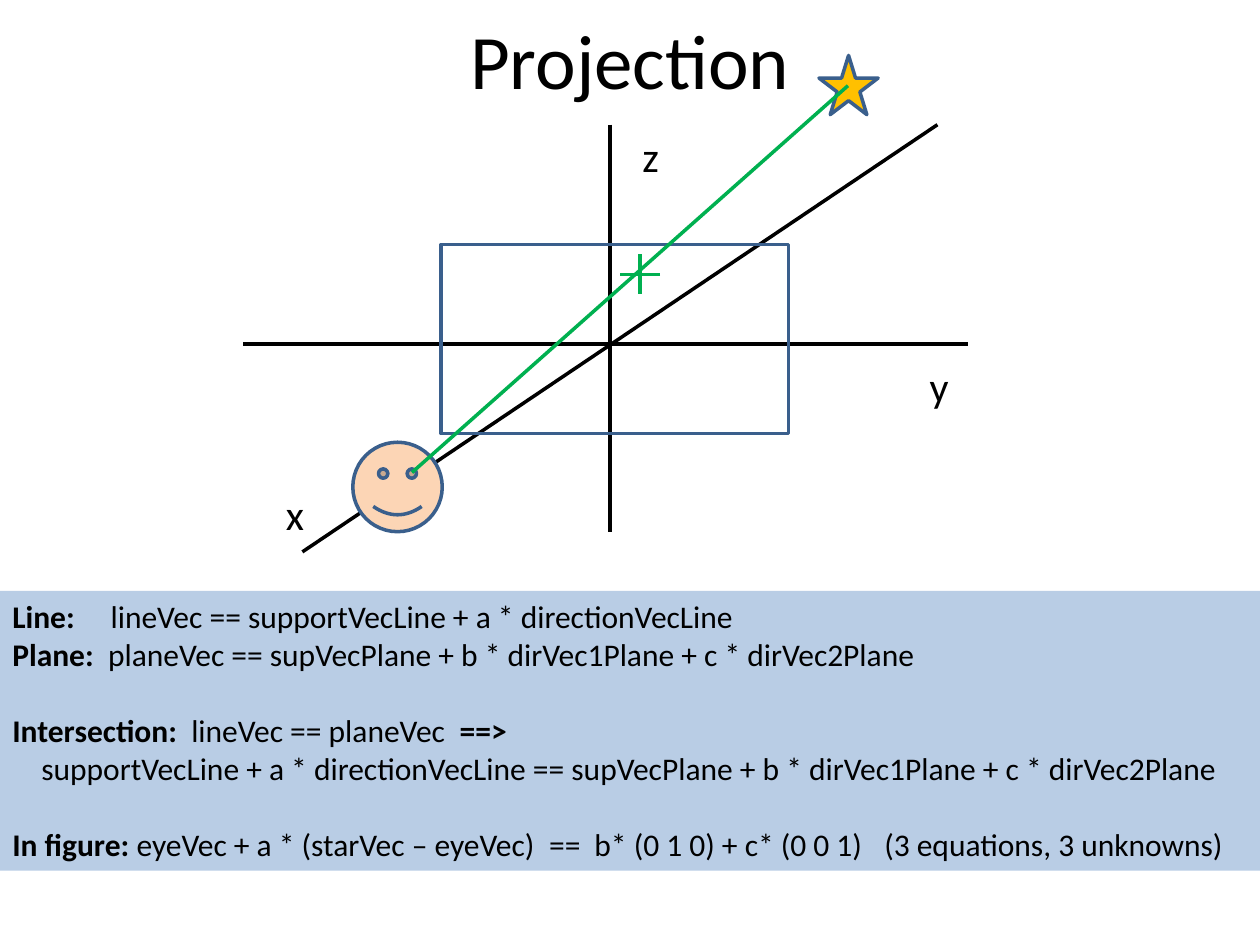
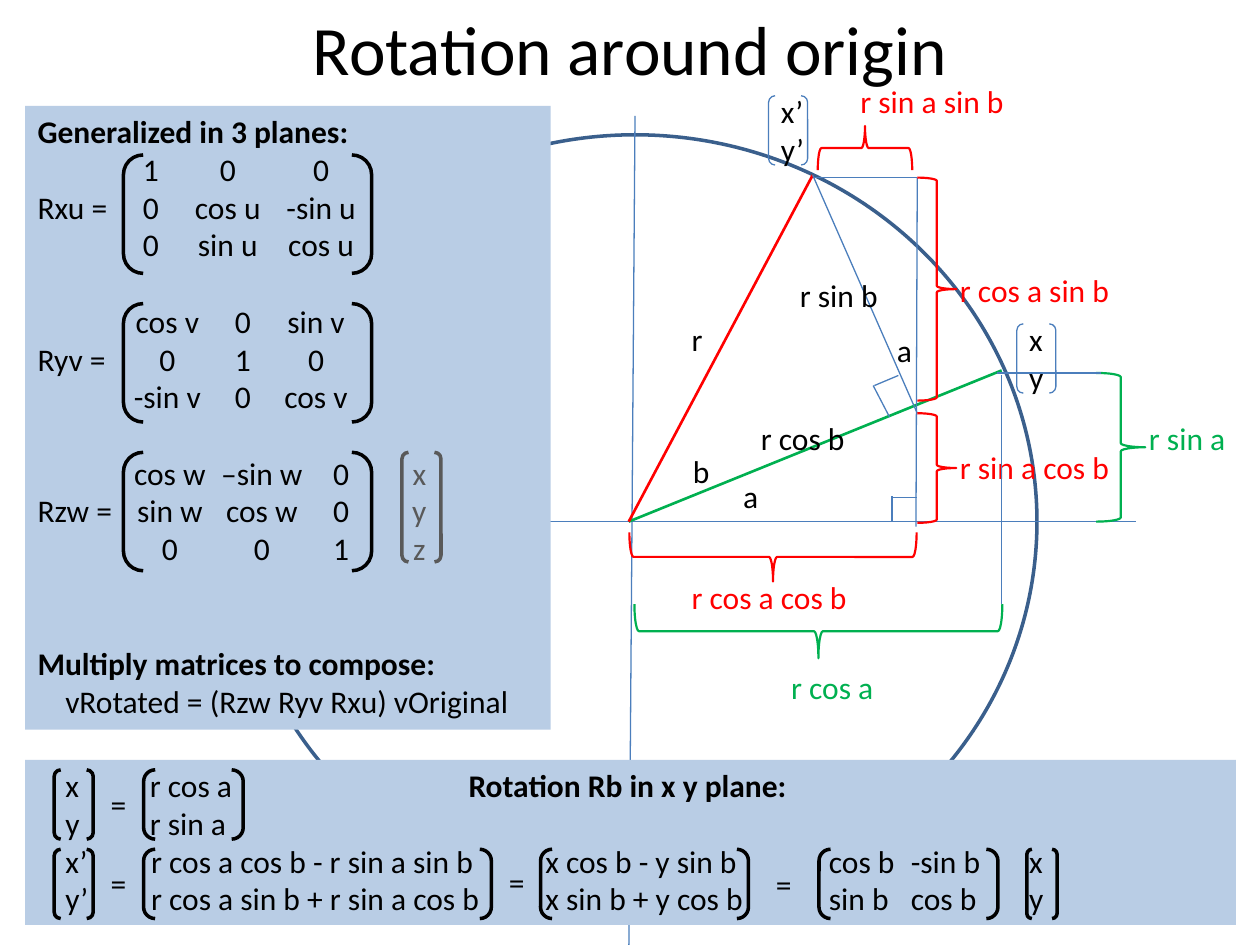
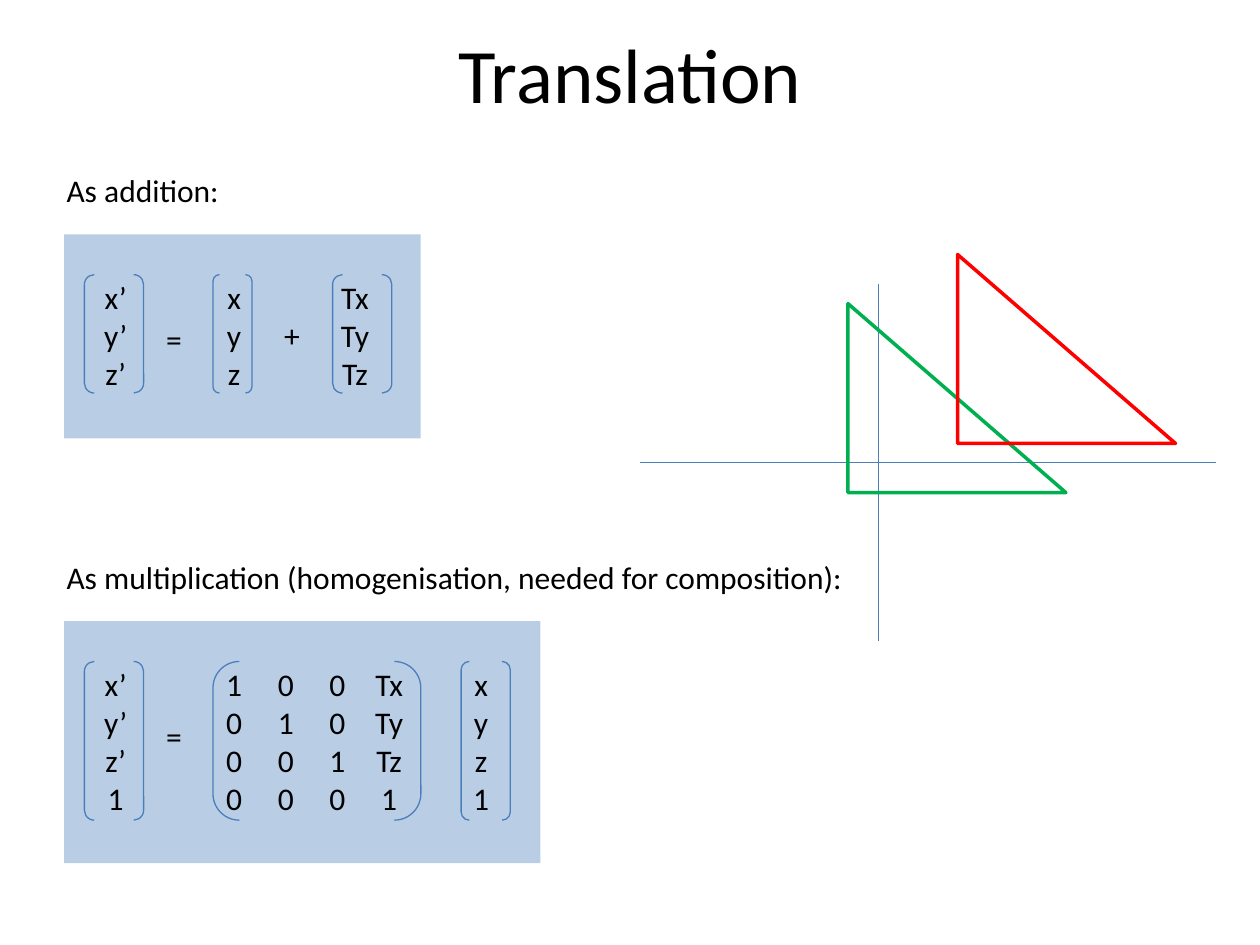
from dataclasses import dataclass
from typing import NamedTuple, Sequence

from lxml.etree import SubElement
from pptx import Presentation
from pptx.dml.color import RGBColor
from pptx.enum.shapes import MSO_CONNECTOR as CONN, MSO_SHAPE as SHP
from pptx.enum.text import MSO_ANCHOR as ANCHOR, MSO_AUTO_SIZE as AUTO, PP_ALIGN as ALIGN
from pptx.oxml.ns import qn
from pptx.util import Inches, Pt

COLORS = {
    "ink": "000000",
    "panel": "B9CDE5",
    "outline": "3A5F8C",
    "thin": "4B7EBC",
    "red": "FF0000",
    "green": "00B050",
    "gray": "595959",
    "star": "FFC000",
    "skin": "FCD5B5",
}
FONT = "Calibri"
BLANK_LINE = 22


class Run(NamedTuple):
    text: str
    bold: bool = False
    color: str = ""


class Box(NamedTuple):
    left: float
    top: float
    width: float
    height: float


class Segment(NamedTuple):
    x1: float
    y1: float
    x2: float
    y2: float
    color: str = "thin"
    weight: float = 0.75


class Label(NamedTuple):
    text: str
    left: float
    top: float
    width: float
    color: str = "ink"
    size: float = 18
    wrap: bool = False


class Outline(NamedTuple):
    kind: SHP
    box: Box
    line: str = "outline"
    weight: float = 2
    fill: str = ""
    rotation: float = 0


@dataclass
class Line:
    runs: Sequence[Run]
    tabs: Sequence[float] = ()
    tab_align: str = "l"
    before: float = 0


def rgb(name: str) -> RGBColor:
    return RGBColor.from_string(COLORS[name])


def row(text: str, tabs: Sequence[float], tab_align: str = "l", before: float = 0) -> Line:
    return Line([Run(text)], tabs, tab_align, before)


def set_tabs(p, tabs: Sequence[float], align: str) -> None:
    tab_list = SubElement(p._p.get_or_add_pPr(), qn("a:tabLst"))
    for pos in tabs:
        SubElement(tab_list, qn("a:tab"), pos=str(Inches(pos)), algn=align)


def write(s, lines: Sequence[Line], *, size: float = 18, color: str = "ink", align=ALIGN.LEFT,
          anchor=ANCHOR.TOP, wrap: bool = True, margin_top: float = 0.05) -> None:
    tf = s.text_frame
    tf.word_wrap, tf.auto_size, tf.vertical_anchor = wrap, AUTO.NONE, anchor
    tf.margin_top = Inches(margin_top)
    for i, line in enumerate(lines):
        p = tf.add_paragraph() if i else tf.paragraphs[0]
        p.alignment = align
        if line.before:
            p.space_before = Pt(line.before)
        if line.tabs:
            set_tabs(p, line.tabs, line.tab_align)
        for run in line.runs:
            r = p.add_run()
            r.text = run.text
            r.font.name, r.font.size, r.font.bold = FONT, Pt(size), run.bold
            r.font.color.rgb = rgb(run.color or color)


def place(s, box: Box) -> None:
    s.left, s.top, s.width, s.height = (Inches(v) for v in box)


def new_slide(prs, title: str, height: float, size: float = 44):
    slide = prs.slides.add_slide(prs.slide_layouts[5])
    place(slide.shapes.title, Box(0.5, 0, 9, height))
    write(slide.shapes.title, [Line([Run(title)])], size=size,
          align=ALIGN.CENTER, anchor=ANCHOR.MIDDLE)
    return slide


def draw_outline(slide, o: Outline) -> None:
    s = slide.shapes.add_shape(o.kind, *(Inches(v) for v in o.box))
    s.shadow.inherit = False
    s.rotation = o.rotation
    s.line.color.rgb = rgb(o.line)
    s.line.width = Pt(o.weight)
    if o.fill:
        s.fill.solid()
        s.fill.fore_color.rgb = rgb(o.fill)
    else:
        s.fill.background()


def draw_panel(slide, box: Box, lines: Sequence[Line], margin_top: float = 0.05) -> None:
    s = slide.shapes.add_shape(SHP.RECTANGLE, *(Inches(v) for v in box))
    s.shadow.inherit = False
    s.fill.solid()
    s.fill.fore_color.rgb = rgb("panel")
    s.line.fill.background()
    write(s, lines, margin_top=margin_top)


def draw_segment(slide, seg: Segment) -> None:
    c = slide.shapes.add_connector(
        CONN.STRAIGHT, Inches(seg.x1), Inches(seg.y1), Inches(seg.x2), Inches(seg.y2))
    c.line.color.rgb = rgb(seg.color)
    c.line.width = Pt(seg.weight)
    SubElement(c._element.spPr, qn("a:effectLst"))


def draw_label(slide, lb: Label) -> None:
    texts = lb.text.split("\n")
    height = 0.1 + len(texts) * lb.size / 60
    s = slide.shapes.add_textbox(
        Inches(lb.left), Inches(lb.top), Inches(lb.width), Inches(height))
    write(s, [Line([Run(t)]) for t in texts], size=lb.size, color=lb.color, wrap=lb.wrap)


def draw(slide, items: Sequence) -> None:
    painters = {Outline: draw_outline, Segment: draw_segment, Label: draw_label}
    for item in items:
        painters[type(item)](slide, item)


def bracket(left: float, top: float, width: float, height: float,
            color: str = "ink", weight: float = 2) -> Outline:
    return Outline(SHP.DOUBLE_BRACKET, Box(left, top, width, height), color, weight)


def thin_bracket(left: float, top: float, width: float, height: float) -> Outline:
    return bracket(left, top, width, height, "thin", 0.75)


def brace(left: float, top: float, width: float, height: float,
          color: str, rotation: float = 0) -> Outline:
    return Outline(SHP.RIGHT_BRACE, Box(left, top, width, height), color, 1.25,
                   rotation=rotation)


def build_projection(prs) -> None:
    slide = new_slide(prs, "Projection", 0.93)
    draw(slide, [
        Segment(7.44, 0.99, 2.4, 4.38, "ink", 2),
        Segment(7.68, 2.73, 1.93, 2.73, "ink", 2),
        Segment(4.84, 0.99, 4.84, 4.22, "ink", 2),
        Label("x", 2.17, 3.83, 0.35, size=24),
        Label("y", 7.28, 2.81, 0.35, size=24),
        Label("z", 5, 0.99, 0.34, size=24),
        Outline(SHP.RECTANGLE, Box(3.5, 1.94, 2.76, 1.5)),
        Outline(SHP.STAR_5_POINT, Box(6.5, 0.44, 0.47, 0.47), fill="star"),
        Outline(SHP.SMILEY_FACE, Box(2.8, 3.51, 0.71, 0.71), fill="skin"),
        Segment(3.27, 3.75, 6.73, 0.68, "green", 2),
        Segment(5.24, 2.18, 4.92, 2.18, "green", 2),
        Segment(5.08, 2.33, 5.08, 2.02, "green", 2),
    ])
    draw_panel(slide, Box(0, 4.69, 10, 2.22), [
        Line([Run("Line:", True), Run("\tlineVec == supportVecLine + a * directionVecLine")],
             [0.78]),
        Line([Run("Plane:", True),
              Run("\tplaneVec == supVecPlane + b * dirVec1Plane + c * dirVec2Plane")], [0.76]),
        Line([Run("Intersection:", True), Run("\tlineVec == planeVec"), Run("\t==>", True)],
             [1.42, 3.55], before=BLANK_LINE),
        row("\tsupportVecLine + a * directionVecLine == "
            "supVecPlane + b * dirVec1Plane + c * dirVec2Plane", [0.23]),
        Line([Run("In figure: ", True),
              Run("eyeVec + a * (starVec – eyeVec)\t==\tb* (0 1 0) + c* (0 0 1)"
                  "\t(3 equations, 3 unknowns)")],
             [4.26, 4.62, 6.92], before=BLANK_LINE),
    ])


def build_rotation(prs) -> None:
    slide = new_slide(prs, "Rotation around origin", 0.76, 39.6)
    draw(slide, [
        Outline(SHP.OVAL, Box(1.85, 1.07, 6.38, 6.14)),
        Segment(1.3, 4.14, 9.02, 4.14),
        Segment(5.04, 0.92, 4.99, 7.69),
        Segment(4.99, 4.14, 7.95, 2.94, "green", 1.5),
        Segment(4.99, 4.14, 6.45, 1.39, "red", 1.5),
        Label("a", 5.8, 3.74, 0.32),
        Label("b", 5.4, 3.54, 0.34),
        Segment(6.45, 1.39, 7.28, 3.28),
        Segment(7.28, 1.41, 7.27, 4.18),
        Segment(7.06, 3.31, 6.93, 3.06),
        Segment(7.13, 2.98, 6.94, 3.06),
        Segment(7.08, 4.14, 7.08, 3.94),
        Segment(7.09, 3.95, 7.28, 3.95),
        Label("r cos a cos b", 5.39, 4.54, 1.45, "red"),
        Label("r cos b", 5.94, 3.28, 0.87),
        Label("r sin b", 6.25, 2.14, 0.83),
        Segment(6.45, 1.41, 7.28, 1.41),
        Label("a", 7.02, 2.58, 0.32),
        Label("r cos a sin b", 7.52, 2.1, 1.4, "red"),
        Label("r sin a cos b", 7.52, 3.51, 1.4, "red"),
        brace(7.28, 1.41, 0.31, 1.77, "red"),
        brace(7.28, 3.28, 0.31, 0.87, "red"),
    ])
    expanded = [0.22, 0.9, 4.03, 6.28, 6.93, 7.87]
    draw_panel(slide, Box(0.2, 6.03, 9.61, 1.31), [
        Line([Run("\tx\tr cos a"), Run("\tRotation Rb in x y plane:", True)], [0.22, 0.89, 3.42]),
        row("\ty\tr sin a", [0.22, 0.89]),
        row("\tx’\tr cos a cos b - r sin a sin b\tx cos b - y sin b\tcos b\t-sin b\tx", expanded),
        row("\ty’\tr cos a sin b + r sin a cos b\tx sin b + y cos b\tsin b\tcos b\ty", expanded),
    ])
    draw(slide, [
        Label("r", 5.39, 2.49, 0.29),
        Label("x’\ny’", 6.1, 0.68, 0.47, wrap=True),
        Label("x\ny", 8.07, 2.49, 0.39, wrap=True),
        thin_bracket(6.1, 0.76, 0.31, 0.55),
        thin_bracket(8.07, 2.57, 0.31, 0.55),
        brace(8.7, 2.96, 0.39, 1.18, "green"),
        Label("r sin a", 9.02, 3.28, 0.82, "green"),
        brace(5.94, 3.28, 0.39, 2.28, "red", 90),
        Label("r cos a", 6.18, 5.25, 0.86, "green"),
        brace(6.69, 0.8, 0.35, 0.75, "red", 270),
        Label("r sin a sin b", 6.73, 0.6, 1.35, "red"),
    ])
    draw(slide, [bracket(left, 6.11, width, 0.55) for left, width in ((0.43, 0.31), (1.14, 0.79))])
    draw(slide, [bracket(left, 6.74, width, 0.55) for left, width in (
        (0.43, 0.31), (1.14, 2.76), (4.29, 1.65), (6.5, 1.42), (8.15, 0.24))])
    draw(slide, [Label("=", left, top, 0.33) for left, top in (
        (0.78, 6.18), (0.78, 6.81), (3.94, 6.8), (6.06, 6.82))])
    draw(slide, [Segment(7.91, 2.96, 8.74, 2.96)])

    rx, ry, rz = [0.9, 1.51, 2.25], [1.03, 1.63, 2.21], [1.05, 1.78, 2.41, 3.03]
    rz_rows = (("\tcos w\t–sin w\t0", "x"), ("Rzw =\tsin w\tcos w\t0", "y"), ("\t0\t0\t1", "z"))
    draw_panel(slide, Box(0.2, 0.84, 4.17, 4.95), [
        Line([Run("Generalized in 3 planes:", True)]),
        row("\t1\t0\t0", rx, "ctr"),
        row("Rxu =\t0\tcos u\t-sin u", rx, "ctr"),
        row("\t0\tsin u\tcos u", rx, "ctr"),
        row("\tcos v\t0\tsin v", ry, "ctr", BLANK_LINE),
        row("Ryv =\t0\t1\t0", ry, "ctr"),
        row("\t-sin v\t0\tcos v", ry, "ctr"),
        *(Line([Run(text), Run("\t" + axis, color="gray")], rz, "ctr", 0 if i else BLANK_LINE)
          for i, (text, axis) in enumerate(rz_rows)),
        Line([Run("Multiply matrices to compose:", True)], before=2 * BLANK_LINE),
        row("\tvRotated = (Rzw Ryv Rxu) vOriginal", [0.22]),
    ])
    draw(slide, [bracket(0.98, 1.23 + i * 1.18, 1.97, 0.94) for i in range(3)])
    draw(slide, [
        bracket(3.19, 3.59, 0.31, 0.87, "gray"),
        Segment(7.95, 2.98, 7.95, 4.79),
        brace(6.28, 3.55, 0.43, 2.92, "green", 90),
    ])


def build_translation(prs) -> None:
    slide = new_slide(prs, "Translation", 1.15)
    product, total = [0.31, 1.25, 1.66, 2.07, 2.48, 3.21], [0.31, 1.25, 2.21]
    draw_panel(slide, Box(0.51, 4.93, 3.78, 1.92), [
        row(text, product, "ctr") for text in (
            "\tx’\t1\t0\t0\tTx\tx", "\ty’\t0\t1\t0\tTy\ty",
            "\tz’\t0\t0\t1\tTz\tz", "\t1\t0\t0\t0\t1\t1")
    ], margin_top=0.35)
    draw(slide, [thin_bracket(left, 5.25, width, 1.26)
                 for left, width in ((0.67, 0.47), (1.69, 1.65), (3.66, 0.39))])
    draw(slide, [
        Segment(6.97, 2.25, 6.97, 5.09),
        Segment(5.08, 3.67, 9.65, 3.67),
        Outline(SHP.RIGHT_TRIANGLE, Box(6.73, 2.41, 1.73, 1.5), "green"),
        Outline(SHP.RIGHT_TRIANGLE, Box(7.6, 2.02, 1.73, 1.5), "red"),
        Label("=", 1.22, 5.64, 0.33),
    ])
    draw_panel(slide, Box(0.51, 1.86, 2.83, 1.62), [
        row("\tx’\tx\tTx", total, "ctr"),
        row("\ty’\ty\t+\tTy", [0.31, 1.25, 1.71, 2.21], "ctr"),
        row("\tz’\tz\tTz", total, "ctr"),
    ], margin_top=0.35)
    draw(slide, [thin_bracket(left, 2.18, width, 0.94)
                 for left, width in ((0.67, 0.47), (1.69, 0.31), (2.64, 0.47))])
    draw(slide, [
        Label("=", 1.22, 2.49, 0.33),
        Label("As addition:", 0.43, 1.31, 1.57, wrap=True),
        Label("As multiplication (homogenisation, needed for composition):",
              0.43, 4.38, 6.46, wrap=True),
    ])


def main() -> None:
    prs = Presentation()
    prs.slide_width, prs.slide_height = Inches(10), Inches(7.5)
    build_projection(prs)
    build_rotation(prs)
    build_translation(prs)
    prs.save("out.pptx")


main()
